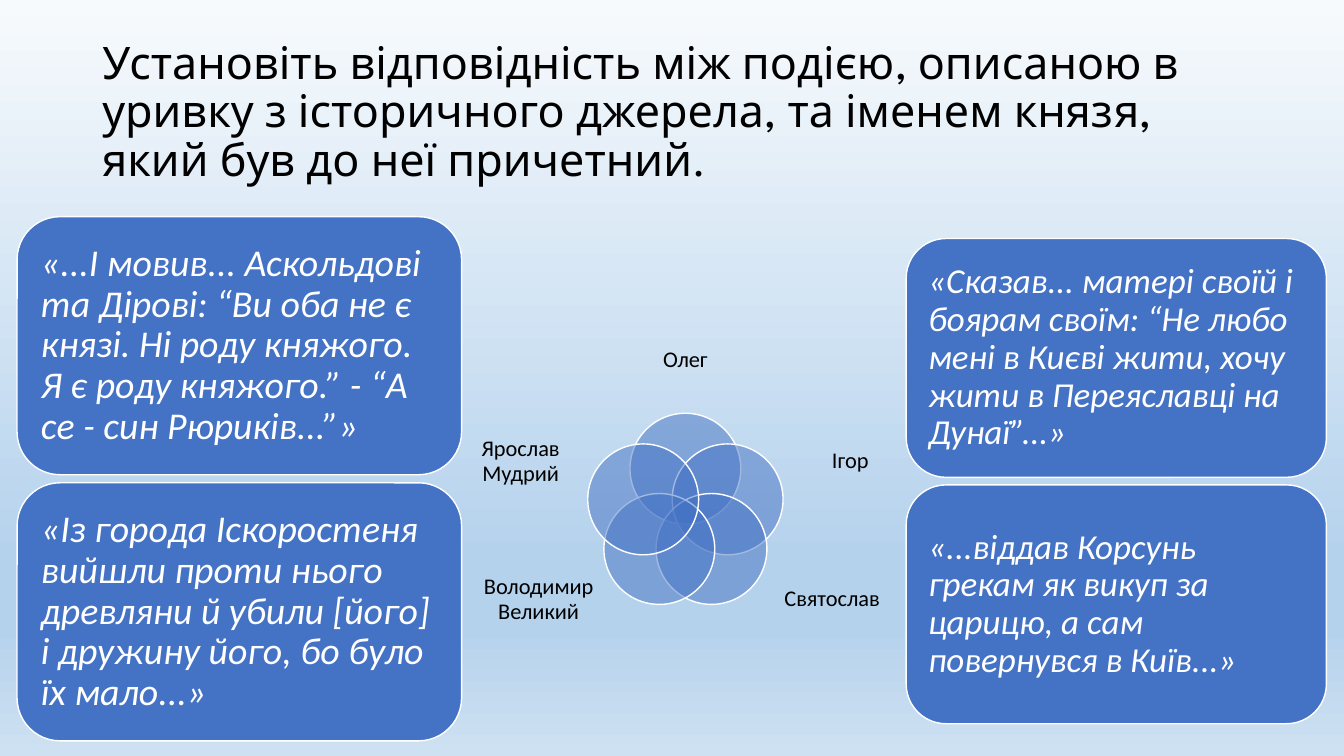
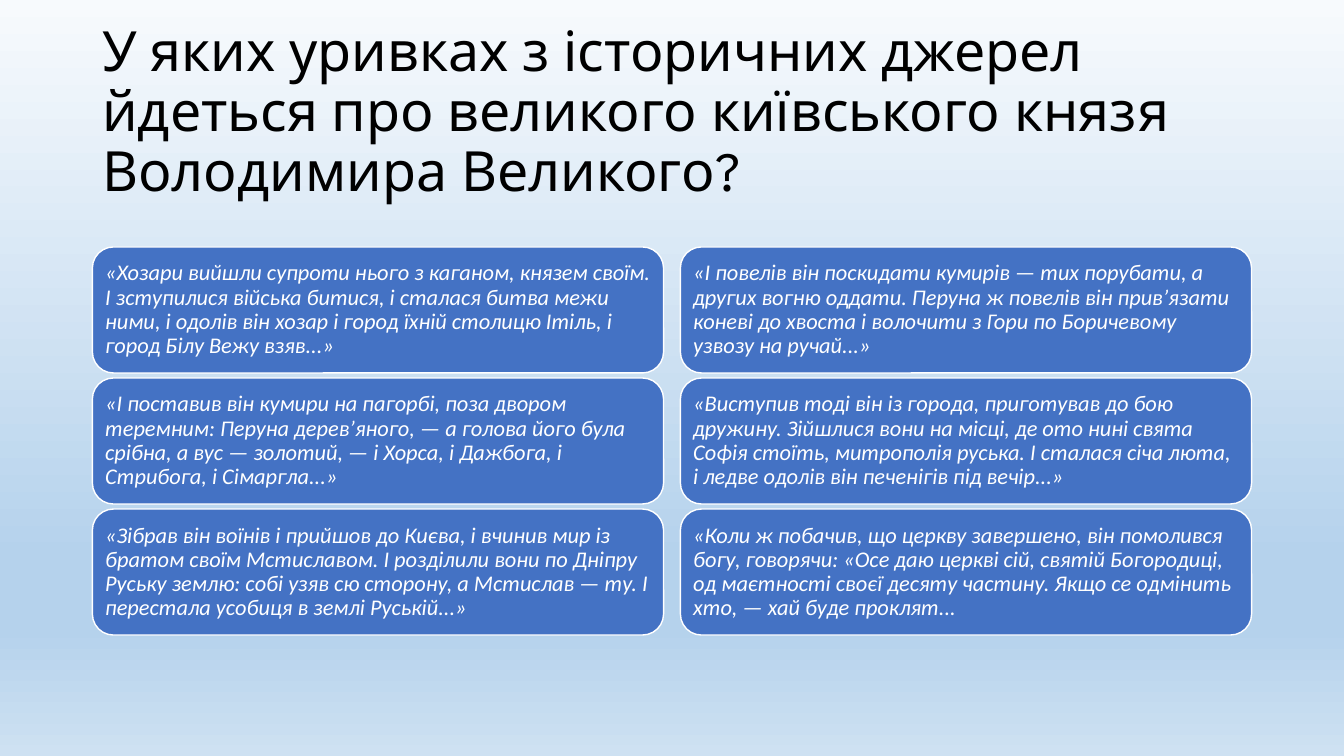
from math import cos, pi, sin

from lxml import etree
from pptx import Presentation
from pptx.dml.color import RGBColor
from pptx.enum.shapes import MSO_SHAPE
from pptx.enum.text import MSO_ANCHOR, PP_ALIGN
from pptx.oxml.ns import qn
from pptx.util import Pt

ROUNDED = MSO_SHAPE.ROUNDED_RECTANGLE
OVAL = MSO_SHAPE.OVAL
MIDDLE = MSO_ANCHOR.MIDDLE
LEFT = PP_ALIGN.LEFT
CENTER = PP_ALIGN.CENTER

BLUE = "4472C4"
WHITE = "FFFFFF"
BLACK = "000000"
SKY = [(0, "F7FAFD"), (74, "B5D2EC"), (83, "B5D2EC"), (100, "CEE1F2")]
TITLE_FONT = "League Spartan"
BODY_FONT = "Calibri"
TITLE_BOX = (66, 28.8, 828, 104.4)

PRINCE_TITLE = (
    "Установіть відповідність між подією, описаною в уривку з історичного "
    "джерела, та іменем князя, який був до неї причетний."
)
LEFT_QUOTES = [
    "«...І мовив... Аскольдові та Дірові: “Ви оба не є князі. Ні роду княжого. "
    "Я є роду княжого.” - “А се - син Рюриків...”»",
    "«Із города Іскоростеня вийшли проти нього древляни й убили [його] і "
    "дружину його, бо було їх мало...»",
]
RIGHT_QUOTES = [
    "«Сказав... матері своїй і боярам своїм: “Не любо мені в Києві жити, хочу "
    "жити в Переяславці на Дунаї”...»",
    "«...віддав Корсунь грекам як викуп за царицю, а сам повернувся в Київ...»",
]
PRINCES = [
    ("Олег", 0, -109.4),
    ("Ігор", 117.7, -36.7),
    ("Святослав", 104.8, 61.9),
    ("Володимир Великий", -104.8, 61.9),
    ("Ярослав Мудрий", -117.7, -36.7),
]
VOLODYMYR_TITLE = (
    "У яких уривках з історичних джерел йдеться про великого київського князя "
    "Володимира Великого?"
)
VOLODYMYR_COLUMNS = [
    [
        "«Хозари вийшли супроти нього з каганом, князем своїм. І зступилися "
        "війська битися, і сталася битва межи ними, і одолів він хозар і город "
        "їхній столицю Ітіль, і город Білу Вежу взяв...»",
        "«І поставив він кумири на пагорбі, поза двором теремним: Перуна "
        "дерев’яного, — а голова його була срібна, а вус — золотий, — і Хорса, "
        "і Дажбога, і Стрибога, і Сімаргла...»",
        "«Зібрав він воїнів і прийшов до Києва, і вчинив мир із братом своїм "
        "Мстиславом. І розділили вони по Дніпру Руську землю: собі узяв сю "
        "сторону, а Мстислав — ту. І перестала усобиця в землі Руській...»",
    ],
    [
        "«І повелів він поскидати кумирів — тих порубати, а других вогню оддати. "
        "Перуна ж повелів він прив’язати коневі до хвоста і волочити з Гори по "
        "Боричевому узвозу на ручай...»",
        "«Виступив тоді він із города, приготував до бою дружину. Зійшлися вони "
        "на місці, де ото нині свята Софія стоїть, митрополія руська. І сталася "
        "січа люта, і ледве одолів він печенігів під вечір...»",
        "«Коли ж побачив, що церкву завершено, він помолився богу, говорячи: "
        "«Осе даю церкві сій, святій Богородиці, од маєтності своєї десяту "
        "частину. Якщо се одмінить хто, — хай буде проклят...",
    ],
]


def color(hex_string):
    return RGBColor.from_string(hex_string)


def set_background(master):
    fill = master.background.fill
    fill.gradient()
    fill.gradient_angle = 270
    stop_list = next(master.element.iter(qn("a:gsLst")))
    for stop in list(stop_list):
        stop_list.remove(stop)
    for percent, hex_string in SKY:
        stop = etree.SubElement(stop_list, qn("a:gs"), pos=str(percent * 1000))
        etree.SubElement(stop, qn("a:srgbClr"), val=hex_string)


def write(shape, text, font_name, size, text_color, align=LEFT, italic=False):
    frame = shape.text_frame
    frame.text = text
    frame.word_wrap = True
    frame.vertical_anchor = MIDDLE
    paragraph = frame.paragraphs[0]
    paragraph.alignment = align
    paragraph.line_spacing = 0.9
    font = paragraph.runs[0].font
    font.name = font_name
    font.size = Pt(size)
    font.italic = italic
    font.color.rgb = color(text_color)


def set_insets(shape, inset):
    frame = shape.text_frame
    frame.margin_left = frame.margin_right = Pt(inset)
    frame.margin_top = frame.margin_bottom = Pt(inset)


def add_text_box(slide, left, top, width, height):
    return slide.shapes.add_textbox(Pt(left), Pt(top), Pt(width), Pt(height))


def add_blue_shape(slide, kind, left, top, width, height):
    shape = slide.shapes.add_shape(kind, Pt(left), Pt(top), Pt(width), Pt(height))
    shape.shadow.inherit = False
    shape.fill.solid()
    shape.fill.fore_color.rgb = color(BLUE)
    shape.line.color.rgb = color(WHITE)
    shape.line.width = Pt(1)
    return shape


def add_titled_slide(presentation, title, size):
    slide = presentation.slides.add_slide(presentation.slide_layouts[6])
    write(add_text_box(slide, *TITLE_BOX), title, TITLE_FONT, size, BLACK)
    return slide


def add_quote_column(slide, left, top, width, height, gap, size, quotes):
    for index, quote in enumerate(quotes):
        card_top = top + index * (height + gap)
        card = add_blue_shape(slide, ROUNDED, left, card_top, width, height)
        set_insets(card, 0.3 * size)
        write(card, quote, BODY_FONT, size, WHITE, italic=True)


def add_prince_circles(slide, center_x, center_y, orbit=31.7, diameter=79.2):
    label_width, label_height = 82.8, 57.6
    for index, (prince, offset_x, offset_y) in enumerate(PRINCES):
        angle = 2 * pi * index / len(PRINCES)
        circle = add_blue_shape(
            slide, OVAL,
            center_x + orbit * sin(angle) - diameter / 2,
            center_y - orbit * cos(angle) - diameter / 2,
            diameter, diameter,
        )
        fill_color = next(circle.element.spPr.iter(qn("a:srgbClr")))
        etree.SubElement(fill_color, qn("a:alpha"), val="50000")
        label = add_text_box(
            slide,
            center_x + offset_x - label_width / 2,
            center_y + offset_y - label_height / 2,
            label_width, label_height,
        )
        set_insets(label, 0)
        write(label, prince, BODY_FONT, 16, BLACK, CENTER)


def add_prince_slide(presentation):
    slide = add_titled_slide(presentation, PRINCE_TITLE, 32)
    add_quote_column(slide, 12.2, 154.8, 317.5, 184.3, 5.8, 27, LEFT_QUOTES)
    add_quote_column(slide, 647.3, 170.4, 300.2, 170.6, 5.4, 25, RIGHT_QUOTES)
    add_prince_circles(slide, 489.6, 366.5)


def add_volodymyr_slide(presentation):
    slide = add_titled_slide(presentation, VOLODYMYR_TITLE, 39.6)
    for index, quotes in enumerate(VOLODYMYR_COLUMNS):
        left = 66 + index * 420
        add_quote_column(slide, left, 176.4, 408, 90, 3.6, 16, quotes)


def main():
    presentation = Presentation()
    presentation.slide_width = Pt(960)
    presentation.slide_height = Pt(540)
    set_background(presentation.slide_master)
    add_prince_slide(presentation)
    add_volodymyr_slide(presentation)
    presentation.save("out.pptx")


if __name__ == "__main__":
    main()
